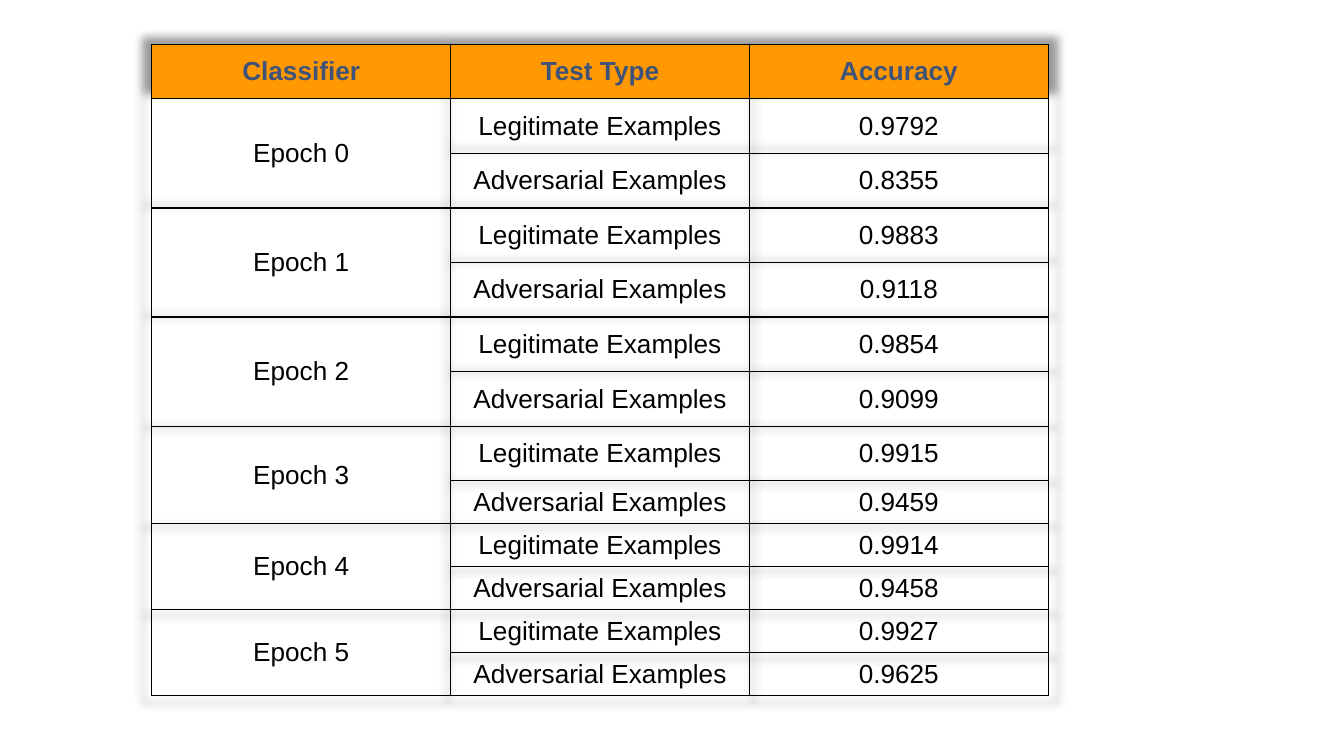
from dataclasses import dataclass

from lxml.etree import SubElement
from pptx import Presentation
from pptx.dml.color import RGBColor
from pptx.enum.text import MSO_ANCHOR as Anchor, PP_ALIGN as Align
from pptx.oxml import parse_xml
from pptx.oxml.ns import nsdecls, qn
from pptx.util import Inches, Pt

PLAIN_TABLE_STYLE = "{2D5ABB26-0587-4C30-8999-92F81FD0307C}"
HEADINGS = ("Classifier", "Test Type", "Accuracy")
TEST_TYPES = ("Legitimate Examples", "Adversarial Examples")
ACCURACIES = (
    ("0.9792", "0.8355"),
    ("0.9883", "0.9118"),
    ("0.9854", "0.9099"),
    ("0.9915", "0.9459"),
    ("0.9914", "0.9458"),
    ("0.9927", "0.9625"),
)
TALL_ROWS, SHORT_ROWS = 8, 5
ROW_HEIGHTS = [3.25 / TALL_ROWS] * TALL_ROWS + [0.32] * SHORT_ROWS
COLUMN_WIDTHS = [6.67 / len(HEADINGS)] * len(HEADINGS)


@dataclass(frozen=True)
class Theme:
    font: str = "Arial"
    size: float = 14
    text: str = "000000"
    heading: str = "3F5378"
    heading_fill: str = "FF9801"
    border: str = "000000"
    border_width: float = 0.75
    shadow: str = "000000"


def write_text(cell, text, *, theme, color, bold=False):
    cell.vertical_anchor = Anchor.MIDDLE
    para = cell.text_frame.paragraphs[0]
    para.alignment = Align.CENTER
    span = para.add_run()
    span.text = text
    span.font.name = theme.font
    span.font.size = Pt(theme.size)
    span.font.bold = bold
    span.font.color.rgb = RGBColor.from_string(color)


class Page:
    def __init__(self, deck, theme):
        self.theme = theme
        self.slide = deck.slides.add_slide(deck.slide_layouts[6])

    def table(self, left, top, column_widths, row_heights):
        frame = self.slide.shapes.add_table(
            len(row_heights), len(column_widths), Inches(left), Inches(top),
            Inches(sum(column_widths)), Inches(sum(row_heights)))
        table = frame.table
        table.first_row = table.horz_banding = False
        for column, width in zip(table.columns, column_widths):
            column.width = Inches(width)
        for row, height in zip(table.rows, row_heights):
            row.height = Inches(height)
        properties = table._tbl.tblPr
        properties.find(qn("a:tableStyleId")).text = PLAIN_TABLE_STYLE
        properties.insert(0, self.soft_shadow())
        return table

    def soft_shadow(self):
        return parse_xml(
            f'<a:effectLst {nsdecls("a")}>'
            '<a:outerShdw blurRad="63500" sx="102000" sy="102000" algn="ctr" rotWithShape="0">'
            f'<a:srgbClr val="{self.theme.shadow}"><a:alpha val="40000"/></a:srgbClr>'
            '</a:outerShdw></a:effectLst>')

    def borders(self, cell):
        properties = cell._tc.get_or_add_tcPr()
        for side in ("a:lnL", "a:lnR", "a:lnT", "a:lnB"):
            line = SubElement(properties, qn(side), w=str(Pt(self.theme.border_width)))
            fill = SubElement(line, qn("a:solidFill"))
            SubElement(fill, qn("a:srgbClr"), val=self.theme.border)

    def heading_cell(self, cell, text):
        write_text(cell, text, theme=self.theme, color=self.theme.heading, bold=True)
        cell.fill.solid()
        cell.fill.fore_color.rgb = RGBColor.from_string(self.theme.heading_fill)

    def body_cell(self, cell, text):
        write_text(cell, text, theme=self.theme, color=self.theme.text)
        cell.fill.background()


def main():
    deck = Presentation()
    deck.slide_width = Inches(10)
    deck.slide_height = deck.slide_width * 9 // 16
    page = Page(deck, Theme())

    table = page.table(1.13, 0.33, COLUMN_WIDTHS, ROW_HEIGHTS)
    for cell in table.iter_cells():
        page.borders(cell)
    for column, heading in enumerate(HEADINGS):
        page.heading_cell(table.cell(0, column), heading)
    for epoch, scores in enumerate(ACCURACIES):
        first = 1 + epoch * len(TEST_TYPES)
        epoch_cell = table.cell(first, 0)
        epoch_cell.merge(table.cell(first + len(TEST_TYPES) - 1, 0))
        page.body_cell(epoch_cell, f"Epoch {epoch}")
        for row, (test_type, accuracy) in enumerate(zip(TEST_TYPES, scores), first):
            page.body_cell(table.cell(row, 1), test_type)
            page.body_cell(table.cell(row, 2), accuracy)

    deck.save("out.pptx")


if __name__ == "__main__":
    main()
